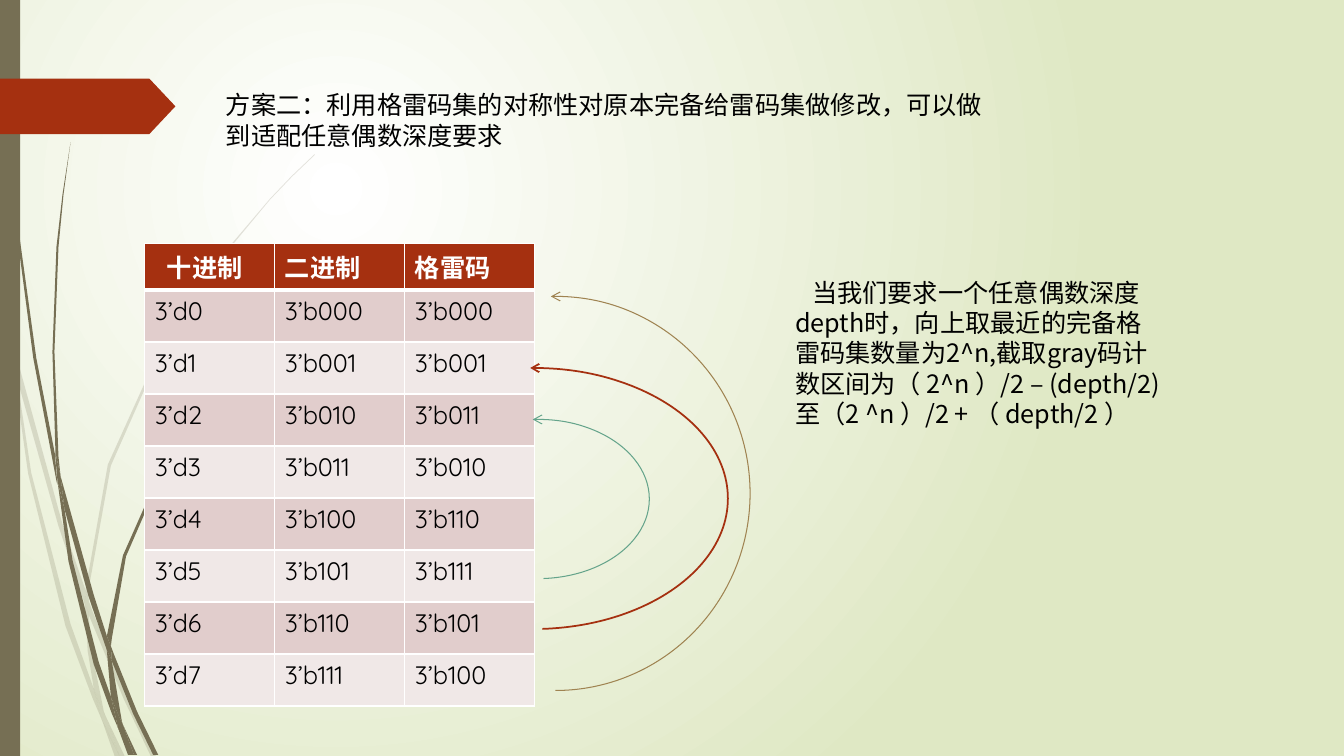
"""Build a slide on adapting Gray code to any even depth."""
from dataclasses import dataclass

from lxml.etree import SubElement
from pptx import Presentation
from pptx.dml.color import RGBColor
from pptx.enum.shapes import MSO_SHAPE
from pptx.enum.text import MSO_ANCHOR, MSO_AUTO_SIZE, PP_ALIGN
from pptx.oxml.ns import qn
from pptx.util import Inches, Pt

COLORS = {
    "white": "FFFFFF", "black": "000000", "meadow": "DFE8C4", "stalk": "766F54",
    "rust": "A53010", "odd": "E1CDCC", "even": "F0E8E7", "sand": "9F8351", "green": "65A48B",
}
FONTS = {"chinese": "Noto Sans CJK SC", "table": "Quicksand"}
GRID = Inches(0.01)
TEXT_SIZE = Pt(18)

HEADING = "方案二：利用格雷码集的对称性对原本完备给雷码集做修改，可以做到适配任意偶数深度要求"
EXPLANATION = (
    "当我们要求一个任意偶数深度depth时，向上取最近的完备格雷码集数量为2^n,"
    "截取gray码计数区间为（ 2^n ）/2 – (depth/2)至（2 ^n ）/2 + （ depth/2 ）"
)
HEADERS = ("十进制", "二进制", "格雷码")


@dataclass(frozen=True)
class Box:
    column: float
    row: float
    columns: float
    rows: float

    def lengths(self) -> tuple:
        return tuple(int(value * GRID) for value in (self.column, self.row, self.columns, self.rows))


@dataclass(frozen=True)
class Grass:
    opacity: int
    blades: tuple


@dataclass(frozen=True)
class MirrorArrow:
    box: Box
    angles: tuple
    color: str
    weight: float


PALE_GRASS = Grass(20, (
    ((11, 350), (9, 322), (0, 282), (0, 299), (10, 344)),
    ((58, 522), (84, 599), (85, 586), (62, 520), (14, 345), (17, 376)),
    ((92, 607), (88, 596), (88, 610), (123, 694), (150, 751), (155, 751), (127, 692)),
    ((119, 751), (124, 751), (105, 711)),
    ((93, 683), (70, 619), (31, 469), (17, 376), (11, 350), (28, 470), (65, 621), (92, 693),
     (101, 714), (99, 707)),
    ((84, 599), (87, 646), (93, 683), (96, 692), (105, 711), (103, 706), (91, 646), (88, 610), (88, 608)),
    ((88, 584), (110, 462), (160, 349), (229, 245), (268, 198), (290, 175), (312, 154), (312, 153),
     (289, 175), (268, 197), (228, 244), (158, 348), (107, 461), (85, 584), (85, 586), (88, 596)),
    ((101, 714), (114, 751), (119, 751)),
    ((88, 608), (88, 610), (88, 596), (85, 586), (84, 599)),
    ((96, 692), (93, 683), (99, 707), (101, 714), (119, 751), (105, 711)),
))
DARK_GRASS = Grass(100, (
    ((7, 110), (17, 233), (33, 355), (56, 477), (57, 481), (55, 457), (55, 453), (36, 355), (19, 232),
     (8, 109), (5, 48), (4, 0), (3, 0), (4, 48)),
    ((88, 592), (106, 645), (106, 633), (106, 631), (93, 590), (60, 472), (64, 505)),
    ((113, 649), (110, 641), (111, 656), (132, 708), (152, 749), (157, 749), (136, 706)),
    ((110, 691), (98, 657), (72, 556), (64, 505), (57, 477), (68, 557), (93, 659), (111, 708),
     (117, 722), (116, 717)),
    ((60, 472), (58, 453), (54, 349), (58, 245), (63, 193), (70, 141), (62, 193), (56, 245),
     (52, 349), (55, 449)),
    ((133, 749), (136, 749), (122, 719)),
    ((57, 477), (64, 505), (60, 472), (55, 449), (55, 453)),
    ((111, 633), (125, 552), (158, 476), (205, 406), (231, 374), (245, 359), (261, 344), (260, 344),
     (245, 358), (231, 373), (204, 405), (156, 474), (122, 551), (106, 631), (110, 641)),
    ((117, 722), (127, 749), (131, 749)),
    ((106, 645), (110, 691), (116, 706), (122, 719), (121, 716), (111, 656), (109, 651)),
    ((106, 645), (109, 651), (111, 656), (110, 641), (106, 631), (106, 633)),
    ((116, 706), (110, 691), (116, 717), (117, 722), (130, 749), (133, 749), (122, 719)),
))
MIRROR_ARROWS = (
    MirrorArrow(Box(358, 294, 386, 391), (162, 54.81), "sand", 0.75),
    MirrorArrow(Box(336, 365, 386, 259), (164.4, 54.81), "rust", 1.25),
    MirrorArrow(Box(423, 416, 221, 158), (164.4, 56.25), "green", 0.75),
)


def color_of(name: str) -> RGBColor:
    return RGBColor.from_string(COLORS[name])


def apply_format(target, values: dict) -> None:
    for name, value in values.items():
        setattr(target, name, value)


def paint(shape, color: str, opacity: int = 100) -> None:
    shape.shadow.inherit = False
    shape.fill.solid()
    shape.fill.fore_color.rgb = color_of(color)
    shape.line.fill.background()
    if opacity < 100:
        shade = shape._element.spPr.find(qn("a:solidFill"))[0]
        SubElement(shade, qn("a:alpha"), val=str(opacity * 1000))


def write(paragraph, text: str, font: str, color: str, bold: bool = False) -> None:
    run = paragraph.add_run()
    run.text = text
    apply_format(run.font, {"name": FONTS[font], "size": TEXT_SIZE, "bold": bold})
    run.font.color.rgb = color_of(color)
    SubElement(run.font._element, qn("a:ea"), typeface=FONTS["chinese"])


def paint_background(slide) -> None:
    fill = slide.background.fill
    fill.gradient()
    for stop, color in zip(fill.gradient_stops, ("white", "meadow")):
        stop.color.rgb = color_of(color)
    gradient = slide._element.xpath(".//p:bg//a:gradFill")[0]
    gradient.remove(gradient.find(qn("a:lin")))
    circle = SubElement(gradient, qn("a:path"), path="circle")
    SubElement(circle, qn("a:fillToRect"), l="50000", t="50000", r="100000", b="100000")


def draw_grass(slide, grass: Grass) -> None:
    for blade in grass.blades:
        builder = slide.shapes.build_freeform(*blade[0], scale=float(GRID))
        builder.add_line_segments(blade[1:], close=True)
        paint(builder.convert_to_shape(), "stalk", grass.opacity)


def fill_placeholder(shape, box: Box, text: str, indent: float = 0) -> None:
    apply_format(shape, dict(zip(("left", "top", "width", "height"), box.lengths())))
    apply_format(shape.text_frame, {
        "word_wrap": True, "auto_size": MSO_AUTO_SIZE.NONE, "vertical_anchor": MSO_ANCHOR.TOP,
    })
    paragraph = shape.text_frame.paragraphs[0]
    apply_format(paragraph, {"alignment": PP_ALIGN.LEFT, "space_before": Pt(0)})
    properties = paragraph._p.get_or_add_pPr()
    properties.set("marL", "0")
    properties.set("indent", str(int(indent * GRID)))
    SubElement(properties, qn("a:buNone"))
    write(paragraph, text, "chinese", "black")


def format_cell(cell, row: int) -> None:
    properties = cell._tc.get_or_add_tcPr()
    for side in "LRTB":
        thick = (row, side) in ((0, "B"), (1, "T"))
        line = SubElement(properties, qn(f"a:ln{side}"), w=str(Pt(3 if thick else 1)))
        SubElement(SubElement(line, qn("a:solidFill")), qn("a:srgbClr"), val=COLORS["white"])
    cell.fill.solid()
    cell.fill.fore_color.rgb = color_of("rust" if row == 0 else "odd" if row % 2 else "even")


def draw_code_table(slide, box: Box) -> None:
    codes = [(f"3’d{n}", f"3’b{n:03b}", f"3’b{n ^ (n >> 1):03b}") for n in range(8)]
    contents = [HEADERS, *codes]
    table = slide.shapes.add_table(len(contents), len(HEADERS), *box.lengths()).table
    for row, texts in enumerate(contents):
        table.rows[row].height = int((51.6 if row else 45) * GRID)
        for column, text in enumerate(texts):
            cell = table.cell(row, column)
            format_cell(cell, row)
            write(cell.text_frame.paragraphs[0], text, "table", "black" if row else "white", row == 0)
    table.cell(0, 0).margin_left = int(22 * GRID)


def draw_mirror_arrow(slide, arrow: MirrorArrow) -> None:
    shape = slide.shapes.add_shape(MSO_SHAPE.ARC, *arrow.box.lengths())
    shape.shadow.inherit = False
    shape.fill.background()
    for index, angle in enumerate(arrow.angles):
        shape.adjustments[index] = angle
    shape.rotation = 180
    shape._element.spPr.xfrm.set("flipH", "1")
    shape.line.color.rgb = color_of(arrow.color)
    shape.line.width = Pt(arrow.weight)
    SubElement(shape.line._get_or_add_ln(), qn("a:tailEnd"), type="arrow")


def main() -> None:
    presentation = Presentation()
    apply_format(presentation, {"slide_width": Inches(13.33), "slide_height": Inches(7.5)})
    slide = presentation.slides.add_slide(presentation.slide_layouts[1])
    paint_background(slide)
    for grass in (PALE_GRASS, DARK_GRASS):
        draw_grass(slide, grass)
    paint(slide.shapes.add_shape(MSO_SHAPE.RECTANGLE, *Box(0, 0, 20, 750).lengths()), "stalk")
    banner = slide.shapes.add_shape(MSO_SHAPE.PENTAGON, *Box(0, 78, 174, 55).lengths())
    banner.adjustments[0] = 0.47
    paint(banner, "rust")
    fill_placeholder(slide.shapes.title, Box(214, 84, 780, 71), HEADING)
    draw_code_table(slide, Box(143.5, 241.5, 387, 458))
    for arrow in MIRROR_ARROWS:
        draw_mirror_arrow(slide, arrow)
    fill_placeholder(slide.placeholders[1], Box(778.5, 270, 386, 162), EXPLANATION, 17)
    presentation.save("out.pptx")


if __name__ == "__main__":
    main()
